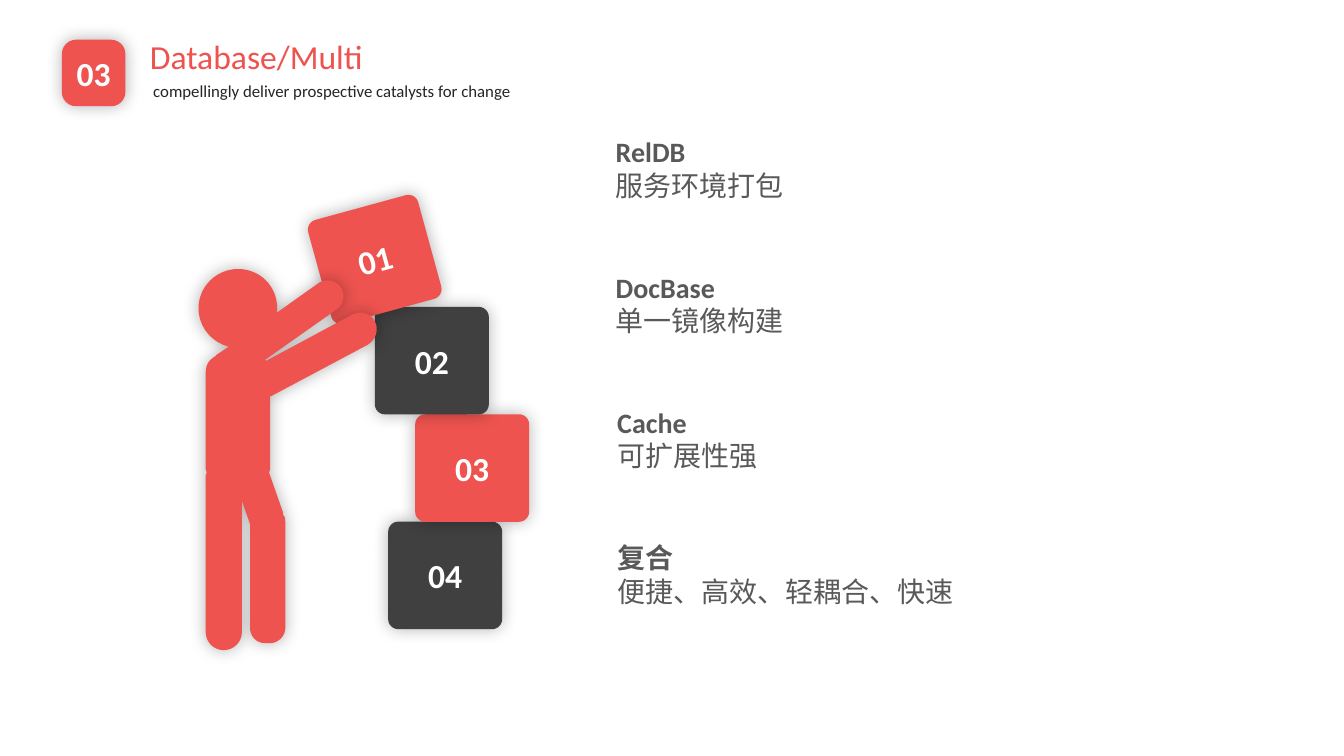
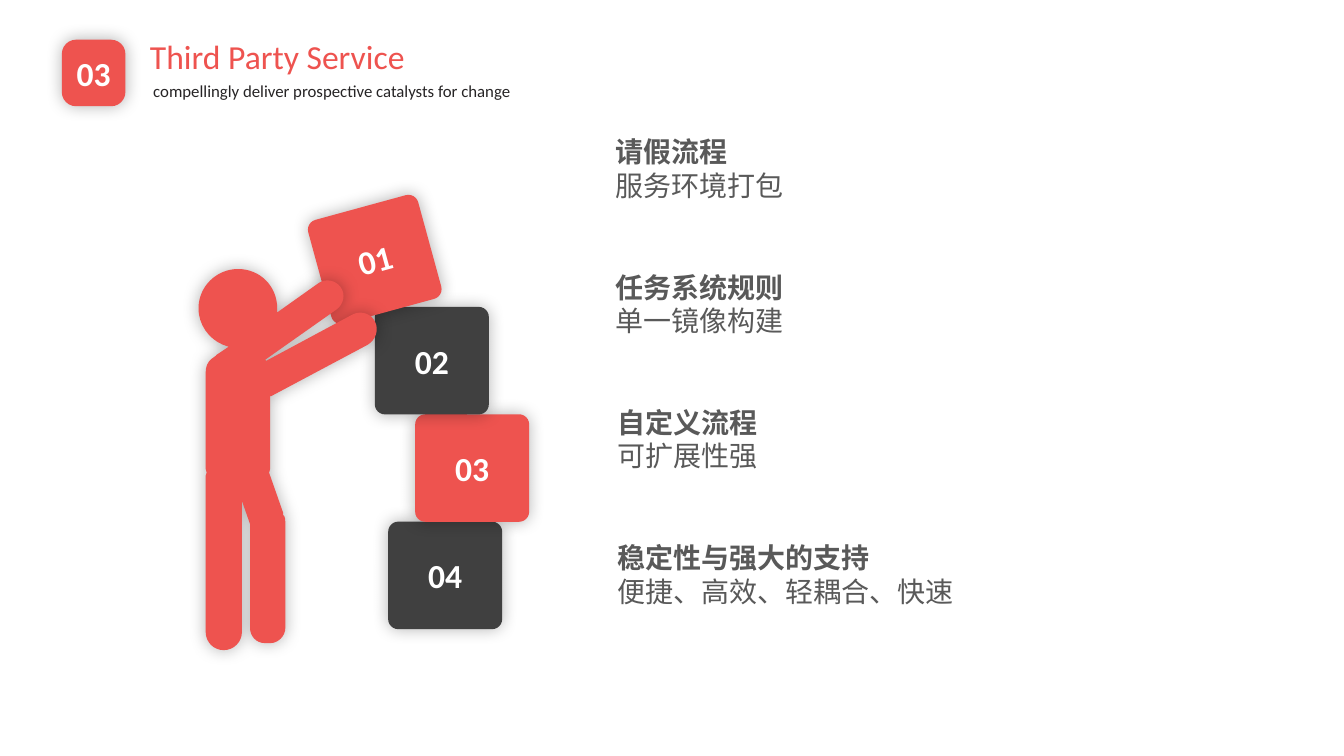
from dataclasses import dataclass
from math import cos, radians, sin

from lxml import etree
from pptx import Presentation
from pptx.dml.color import RGBColor
from pptx.enum.shapes import MSO_SHAPE
from pptx.enum.text import MSO_ANCHOR, MSO_AUTO_SIZE, PP_ALIGN
from pptx.oxml.ns import qn
from pptx.util import Pt

ROUND_RECT = MSO_SHAPE.ROUNDED_RECTANGLE
TOP, MIDDLE = MSO_ANCHOR.TOP, MSO_ANCHOR.MIDDLE
LEFT, CENTER, JUSTIFY = PP_ALIGN.LEFT, PP_ALIGN.CENTER, PP_ALIGN.JUSTIFY
FIT_SHAPE = MSO_AUTO_SIZE.SHAPE_TO_FIT_TEXT
BLANK = 6


@dataclass(frozen=True)
class Theme:
    font: str = "Calibri"
    red: str = "EE534F"
    dark: str = "404040"
    white: str = "FFFFFF"
    body: str = "595959"
    ink: str = "262425"
    title_size: float = 24
    body_size: float = 20
    subtitle_size: float = 12
    shadow_blur: float = 12
    shadow_alpha: int = 30


THEME = Theme()

SECTION = "03"
SUBTITLE = "compellingly deliver prospective catalysts for change"
DETAILS = ["服务环境打包", "单一镜像构建", "可扩展性强", "便捷、高效、轻耦合、快速"]
SLIDES = [
    ("Database/Multi", ["RelDB", "DocBase", "Cache", "复合"]),
    ("Third Party Service",
     ["请假流程", "任务系统规则", "自定义流程", "稳定性与强大的支持"]),
]

# Stack of boxes, from the floor up: label, left, colour
BOX_W, BOX_H, BOX_STEP, FLOOR_TOP = 81.4, 76.8, 76.7, 372.6
STACK = [("04", 277.3, THEME.dark), ("03", 296.6, THEME.red),
         ("02", 267.8, THEME.dark)]

# Outline of the person: pairs are corners, sixes are Bézier curves
PERSON_TILT = 54.9
PERSON_PIVOT = (190, 318)
PERSON = [
    # head and arms
    (170, 192.2), (185.8, 192.2, 198, 204.5, 198, 220.3), (198, 223.2),
    (227.5, 202.3), (232.6, 198.7, 239.8, 200.2, 243.4, 205.2),
    (247, 210.2, 245.5, 217.4, 240.5, 221), (189.4, 257), (190.1, 257.8),
    (252, 224.6), (257.8, 221.8, 265, 223.9, 267.8, 229.7),
    (270.7, 235.4, 268.6, 242.6, 262.8, 246.2), (193.7, 283), (193, 283),
    # right leg
    (193, 334.8), (192.2, 337.7), (202.3, 366.5), (202.3, 367.9),
    (203, 368.6), (203.8, 370.1, 203.8, 371.5, 203.8, 373), (203.8, 448.6),
    (203.8, 454.3, 198.7, 459.4, 193, 459.4), (189.4, 459.4),
    (182.9, 459.4, 178.6, 454.3, 178.6, 448.6), (178.6, 374.4),
    # left leg
    (172.8, 357.8), (172.8, 451.4),
    (172.8, 458.6, 167, 464.4, 159.8, 464.4),
    (152.6, 464.4, 146.9, 458.6, 146.9, 451.4), (146.9, 339.8),
    # back and head
    (147.6, 337.7), (146.9, 334.8), (146.9, 265.7),
    (146.9, 262.1, 148.3, 258.5, 151.2, 256.3), (154.1, 254.2),
    (154.8, 253.4), (163.4, 247.7), (159.1, 246.2),
    (149, 241.9, 141.8, 231.8, 141.8, 220.3),
    (141.8, 204.5, 154.8, 192.2, 170, 192.2),
]


def add_run(p, text, size, color, bold=False):
    r = p.add_run()
    r.text = text
    r.font.name = THEME.font
    r.font.size = Pt(size)
    r.font.bold = bold
    r.font.color.rgb = RGBColor.from_string(color)


def style_shape(sp, color):
    """Flat fill, no line, soft shadow all round."""
    sp.fill.solid()
    sp.fill.fore_color.rgb = RGBColor.from_string(color)
    sp.line.fill.background()
    sp.shadow.inherit = False
    effects = sp._element.spPr.find(qn("a:effectLst"))
    shadow = etree.SubElement(effects, qn("a:outerShdw"),
                              blurRad=str(Pt(THEME.shadow_blur)), dist="0",
                              dir="0", algn="ctr", rotWithShape="0")
    tint = etree.SubElement(shadow, qn("a:srgbClr"), val="000000")
    etree.SubElement(tint, qn("a:alpha"), val=str(THEME.shadow_alpha * 1000))


def add_tile(s, label, x, y, w, h, color, radius, rotation=0):
    sp = s.shapes.add_shape(ROUND_RECT, Pt(x), Pt(y), Pt(w), Pt(h))
    sp.adjustments[0] = radius
    sp.rotation = rotation
    style_shape(sp, color)
    tf = sp.text_frame
    tf.vertical_anchor = MIDDLE
    p = tf.paragraphs[0]
    p.alignment = CENTER
    add_run(p, label, THEME.title_size, THEME.white, bold=True)


def add_textbox(s, x, y, w, h, anchor=TOP, grow=True):
    tf = s.shapes.add_textbox(Pt(x), Pt(y), Pt(w), Pt(h)).text_frame
    tf.word_wrap = True
    tf.vertical_anchor = anchor
    if grow:
        tf.auto_size = FIT_SHAPE
    return tf


def turn(point, pivot, degrees):
    """Turn a point clockwise around the pivot."""
    a = radians(degrees)
    dx, dy = point[0] - pivot[0], point[1] - pivot[1]
    return (pivot[0] + dx * cos(a) - dy * sin(a),
            pivot[1] + dx * sin(a) + dy * cos(a))


def bend_curves(sp, outline):
    """Join the three line segments of each curve into one Bézier segment."""
    lines = iter(list(sp._element.iter(qn("a:lnTo"))))
    for part in outline[1:]:
        segment = next(lines)
        if len(part) == 6:
            segment.tag = qn("a:cubicBezTo")
            for _ in range(2):
                extra = next(lines)
                segment.append(extra[0])
                extra.getparent().remove(extra)


def add_person(s):
    pivot = tuple(Pt(v) for v in PERSON_PIVOT)
    points = [turn((Pt(part[i]), Pt(part[i + 1])), pivot, -PERSON_TILT)
              for part in PERSON for i in range(0, len(part), 2)]
    builder = s.shapes.build_freeform(*points[0])
    builder.add_line_segments(points[1:], close=True)
    sp = builder.convert_to_shape()
    bend_curves(sp, PERSON)
    # The frame turns around its own centre, so move that centre into place
    middle = (sp.left + sp.width / 2, sp.top + sp.height / 2)
    x, y = turn(middle, pivot, PERSON_TILT)
    sp.left, sp.top = round(x - sp.width / 2), round(y - sp.height / 2)
    sp.rotation = PERSON_TILT
    style_shape(sp, THEME.red)


def add_stack(s):
    for i, (label, x, color) in enumerate(STACK):
        add_tile(s, label, x, FLOOR_TOP - i * BOX_STEP, BOX_W, BOX_H, color, 0.094)
    add_tile(s, "01", 227, 146.9, BOX_W, BOX_H, THEME.red, 0.094, rotation=-15.3)


def add_topics(s, topics):
    for i, (topic, detail) in enumerate(zip(topics, DETAILS)):
        x = 432.7 if i < 2 else 433.8
        tf = add_textbox(s, x, 68.8 + i * 96.6, 426, 80)
        p = tf.paragraphs[0]
        p.line_spacing = 2.0
        add_run(p, topic, THEME.body_size, THEME.body, bold=True)
        add_run(tf.add_paragraph(), detail, THEME.body_size, THEME.body)


def add_header(s, title):
    add_tile(s, SECTION, 44.2, 28.4, 45.4, 47.5, THEME.red, 0.224)
    p = add_textbox(s, 100, 15.1, 259, 50.4, MIDDLE, grow=False).paragraphs[0]
    p.alignment = LEFT
    add_run(p, title, THEME.title_size, THEME.red)
    p = add_textbox(s, 102.4, 54, 288, 21.6).paragraphs[0]
    p.alignment = JUSTIFY
    add_run(p, SUBTITLE, THEME.subtitle_size, THEME.ink)


def main():
    prs = Presentation()
    prs.slide_width, prs.slide_height = Pt(960), Pt(540)
    for title, topics in SLIDES:
        s = prs.slides.add_slide(prs.slide_layouts[BLANK])
        add_stack(s)
        add_person(s)
        add_topics(s, topics)
        add_header(s, title)
    prs.save("out.pptx")


if __name__ == "__main__":
    main()
